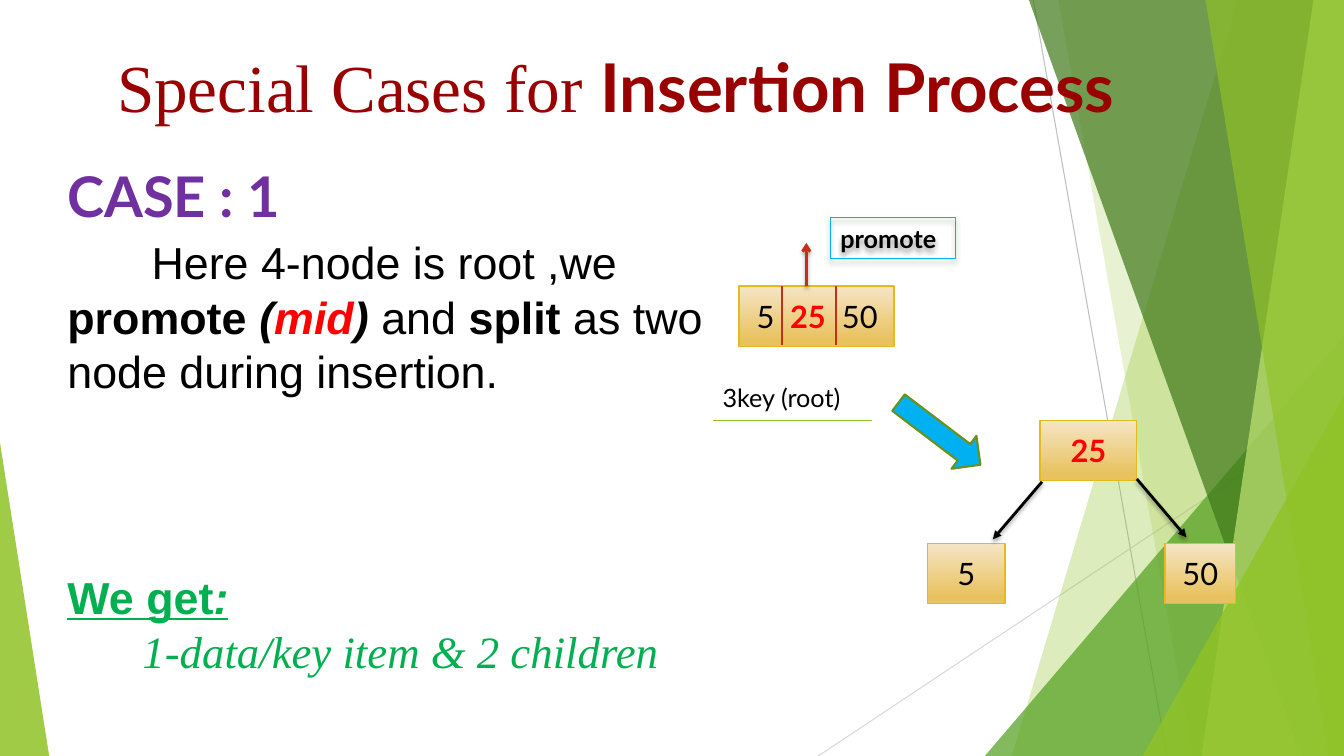
from lxml.etree import SubElement
from pptx import Presentation
from pptx.dml.color import RGBColor
from pptx.enum.shapes import MSO_CONNECTOR, MSO_SHAPE
from pptx.enum.text import MSO_ANCHOR, PP_ALIGN
from pptx.oxml.ns import qn
from pptx.util import Cm, Pt

WIDE, HIGH = 33.87, 19.05
BLACK, RED, GREEN = "000000", "FF0000", "00B050"
LIME, RUST = "90C226", "C42F1A"
LATO, ARIAL, TIMES = "Lato", "Arial", "Times New Roman"


def paint(color, value):
    color.rgb = RGBColor.from_string(value)


def style(item, values):
    for key, value in values.items():
        setattr(item, key, value)


def shade(item, blur, gap, alpha):
    props = item._element.spPr
    group = props.find(qn("a:effectLst"))
    if group is None:
        group = SubElement(props, qn("a:effectLst"))
    if blur:
        cast = SubElement(group, qn("a:outerShdw"), blurRad=str(Pt(blur)),
                          dist=str(Pt(gap)), dir="5400000", rotWithShape="0")
        tone = SubElement(cast, qn("a:srgbClr"), val=BLACK)
        SubElement(tone, qn("a:alpha"), val=str(alpha * 1000))


def tint(shape, color, alpha):
    shape.shadow.inherit = False
    shape.fill.solid()
    paint(shape.fill.fore_color, color)
    tone = shape._element.spPr.find(qn("a:solidFill")).find(qn("a:srgbClr"))
    SubElement(tone, qn("a:alpha"), val=str(alpha * 1000))
    shape.line.fill.background()


def facet(shapes, top, base, color, alpha):
    form = shapes.build_freeform(Cm(top), 0)
    form.add_line_segments([(Cm(WIDE), 0), (Cm(WIDE), Cm(HIGH)), (Cm(base), Cm(HIGH))])
    tint(form.convert_to_shape(), color, alpha)


def wedge(shapes, box, peak, color, alpha):
    shape = shapes.add_shape(MSO_SHAPE.ISOSCELES_TRIANGLE, *map(Cm, box))
    shape.adjustments[0] = peak
    tint(shape, color, alpha)


def stroke(shapes, ends, color, width, head=None):
    line = shapes.add_connector(MSO_CONNECTOR.STRAIGHT, *map(Cm, ends))
    paint(line.line.color, color)
    line.line.width = Pt(width)
    if head:
        SubElement(line.line._get_or_add_ln(), qn("a:tailEnd"), type=head)
    shade(line, 3 if head else 0, 2, 35)


def write(para, runs):
    for text, size, face, color, form in runs:
        run = para.add_run()
        run.text = text
        style(run.font, {"size": Pt(size), "name": face, **form})
        paint(run.font.color, color)


def label(shapes, box, runs, align=PP_ALIGN.LEFT):
    frame = shapes.add_textbox(*map(Cm, box)).text_frame
    frame.word_wrap = True
    frame.paragraphs[0].alignment = align
    write(frame.paragraphs[0], runs)
    return frame


def node(shapes, box, runs, align=PP_ALIGN.CENTER):
    shape = shapes.add_shape(MSO_SHAPE.RECTANGLE, *map(Cm, box))
    shape.shadow.inherit = False
    shape.fill.gradient()
    shape.fill.gradient_angle = 270
    for stop, place, color in zip(shape.fill.gradient_stops, (0, 0.88), ("F5E5C5", "E9C260")):
        stop.position = place
        paint(stop.color, color)
    paint(shape.line.color, "E6B91E")
    shape.line.width = Pt(1)
    frame = shape.text_frame
    frame.vertical_anchor = MSO_ANCHOR.MIDDLE
    frame.paragraphs[0].alignment = align
    write(frame.paragraphs[0], runs)
    return frame


def key(text, color=BLACK, bold=False):
    return text, 22, LATO, color, {"bold": bold}


def scene(shapes):
    stroke(shapes, (26.04, 0, 29.41, HIGH), "BFBFBF", 0.75)
    stroke(shapes, (WIDE, 10.24, 20.62, HIGH), "D9D9D9", 0.75)
    facet(shapes, 31.19, 25.5, LIME, 30)
    facet(shapes, 26.67, 30.05, LIME, 20)
    wedge(shapes, (24.82, 8.46, 9.05, 10.59), 1, "54A021", 72)
    facet(shapes, 25.93, 32.79, "3F7819", 70)
    facet(shapes, 33.1, 30.28, "C0E474", 70)
    facet(shapes, 30.38, 33.48, LIME, 65)
    wedge(shapes, (28.8, 9.98, 5.07, 9.07), 1, LIME, 80)
    wedge(shapes, (0, 11.15, 1.24, 7.9), 0, LIME, 85)


def body(shapes):
    bold, slant = {"bold": True}, {"bold": True, "italic": True}
    under = {"bold": True, "underline": True}
    frame = label(shapes, (1.45, 3.94, 17.4, 13.94), [("CASE : 1", 40, LATO, "7030A0", bold)])
    parts = [
        (4.6, 2.12, [
            ("Here 4-node is root ,we ", 32, ARIAL, BLACK, {}),
            ("promote ", 32, ARIAL, BLACK, bold),
            ("(", 32, ARIAL, BLACK, slant),
            ("mid", 32, ARIAL, RED, slant),
            (") ", 32, ARIAL, BLACK, slant),
            ("and ", 32, ARIAL, BLACK, {}),
            ("split", 32, ARIAL, BLACK, bold),
            (" as two node during insertion.", 32, ARIAL, BLACK, {})]),
        (123, 0, [
            ("We get", 32, ARIAL, GREEN, under),
            (":", 32, ARIAL, GREEN, {**under, "italic": True})]),
        (0, 1.89, [
            ("1-data/key item & 2 children", 32, TIMES, GREEN, {"italic": True})]),
    ]
    for before, indent, runs in parts:
        para = frame.add_paragraph()
        style(para, {"space_before": Pt(before), "line_spacing": Pt(38.6)})
        para._p.get_or_add_pPr().set("indent", str(Cm(indent)))
        write(para, runs)


def tree(shapes):
    root = node(shapes, (18.62, 7.21, 3.91, 1.52),
                [key("5\t"), key("25", RED, True), key("\t50")], PP_ALIGN.LEFT)
    style(root, {"margin_left": Cm(0.45), "margin_right": 0})
    tabs = SubElement(root.paragraphs[0]._p.get_or_add_pPr(), qn("a:tabLst"))
    for stop in (0.84, 2.15):
        SubElement(tabs, qn("a:tab"), pos=str(Cm(stop)), algn="l")
    node(shapes, (26.21, 10.59, 2.44, 1.52), [key("25", RED, True)])
    node(shapes, (23.37, 13.69, 1.96, 1.52), [key("5")])
    node(shapes, (29.36, 13.69, 1.78, 1.52), [key("50")])

    arrow = shapes.add_shape(MSO_SHAPE.RIGHT_ARROW, *map(Cm, (22.38, 10.41, 2.59, 1.04)))
    arrow.rotation = 37.2
    arrow.shadow.inherit = False
    arrow.fill.solid()
    paint(arrow.fill.fore_color, "00B0F0")
    paint(arrow.line.color, "6B901C")
    arrow.line.width = Pt(1.5)

    stroke(shapes, (26.26, 12.14, 25.02, 13.59), BLACK, 2, "triangle")
    stroke(shapes, (28.65, 12.07, 29.9, 13.54), BLACK, 2, "triangle")
    for left in (19.71, 21.08):
        stroke(shapes, (left, 7.21, left, 8.69), RUST, 1.5)
    stroke(shapes, (17.98, 10.59, 21.97, 10.59), LIME, 1)
    label(shapes, (17.96, 9.5, 4.55, 1.02), [("3key (root)", 18, LATO, BLACK, {})])
    stroke(shapes, (20.32, 7.21, 20.32, 6.12), RUST, 2, "arrow")


def badge(shapes):
    shape = shapes.add_shape(MSO_SHAPE.RECTANGLE, *map(Cm, (20.93, 5.49, 3.15, 1.02)))
    shape.shadow.inherit = False
    shape.fill.background()
    paint(shape.line.color, "00B0F0")
    shape.line.width = Pt(0.75)
    shade(shape, 4, 3, 40)
    para = shape.text_frame.paragraphs[0]
    para.alignment = PP_ALIGN.LEFT
    write(para, [("promote", 18, LATO, BLACK, {"bold": True})])


def main():
    deck = Presentation()
    style(deck, {"slide_width": Cm(WIDE), "slide_height": Cm(HIGH)})
    shapes = deck.slides.add_slide(deck.slide_layouts[6]).shapes
    scene(shapes)
    body(shapes)
    label(shapes, (1.78, 1.02, 27.48, 2.31),
          [("Special Cases for ", 48, TIMES, "990000", {}),
           ("Insertion Process", 48, LATO, "990000", {"bold": True})], PP_ALIGN.CENTER)
    tree(shapes)
    badge(shapes)
    deck.save("out.pptx")


if __name__ == "__main__":
    main()
